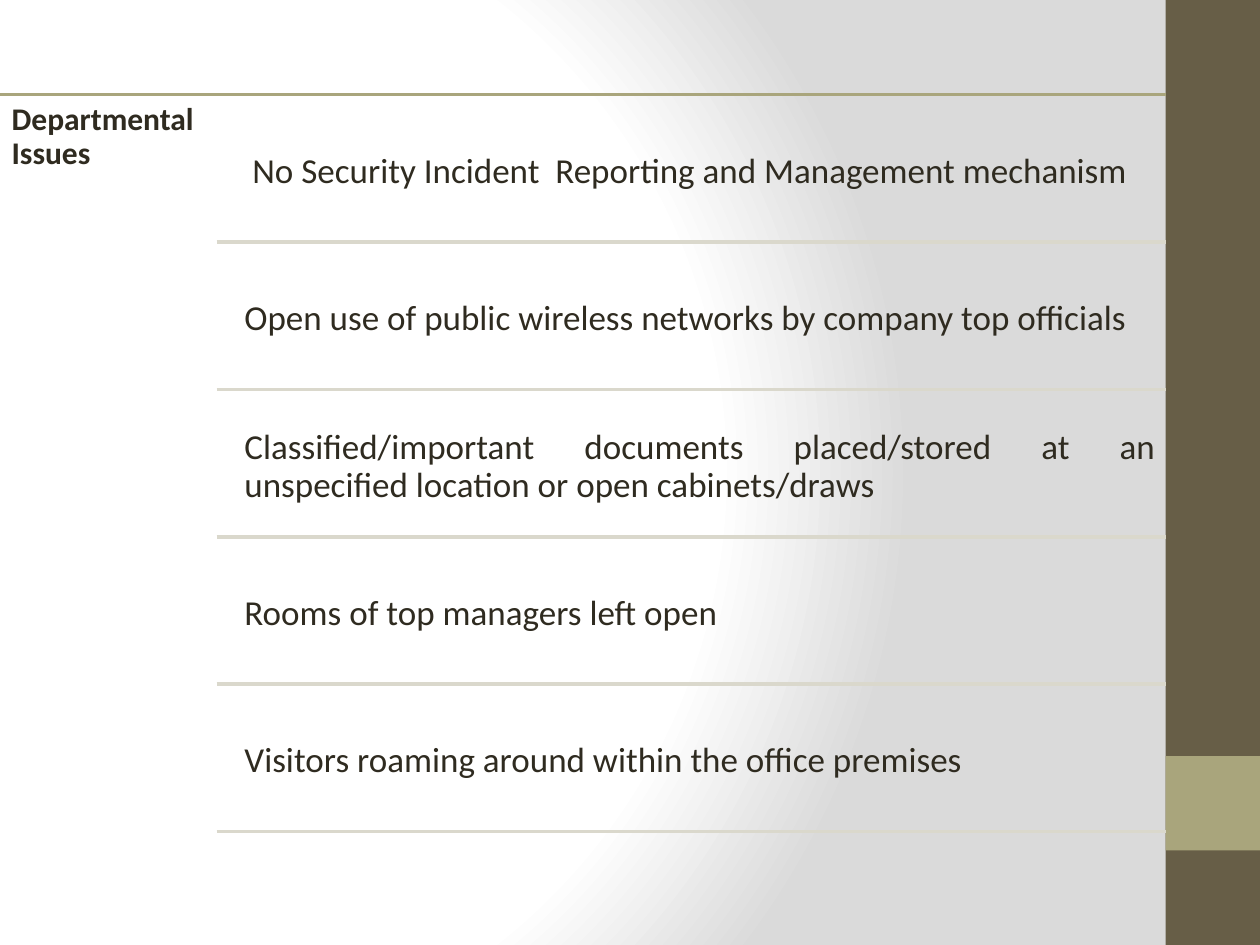
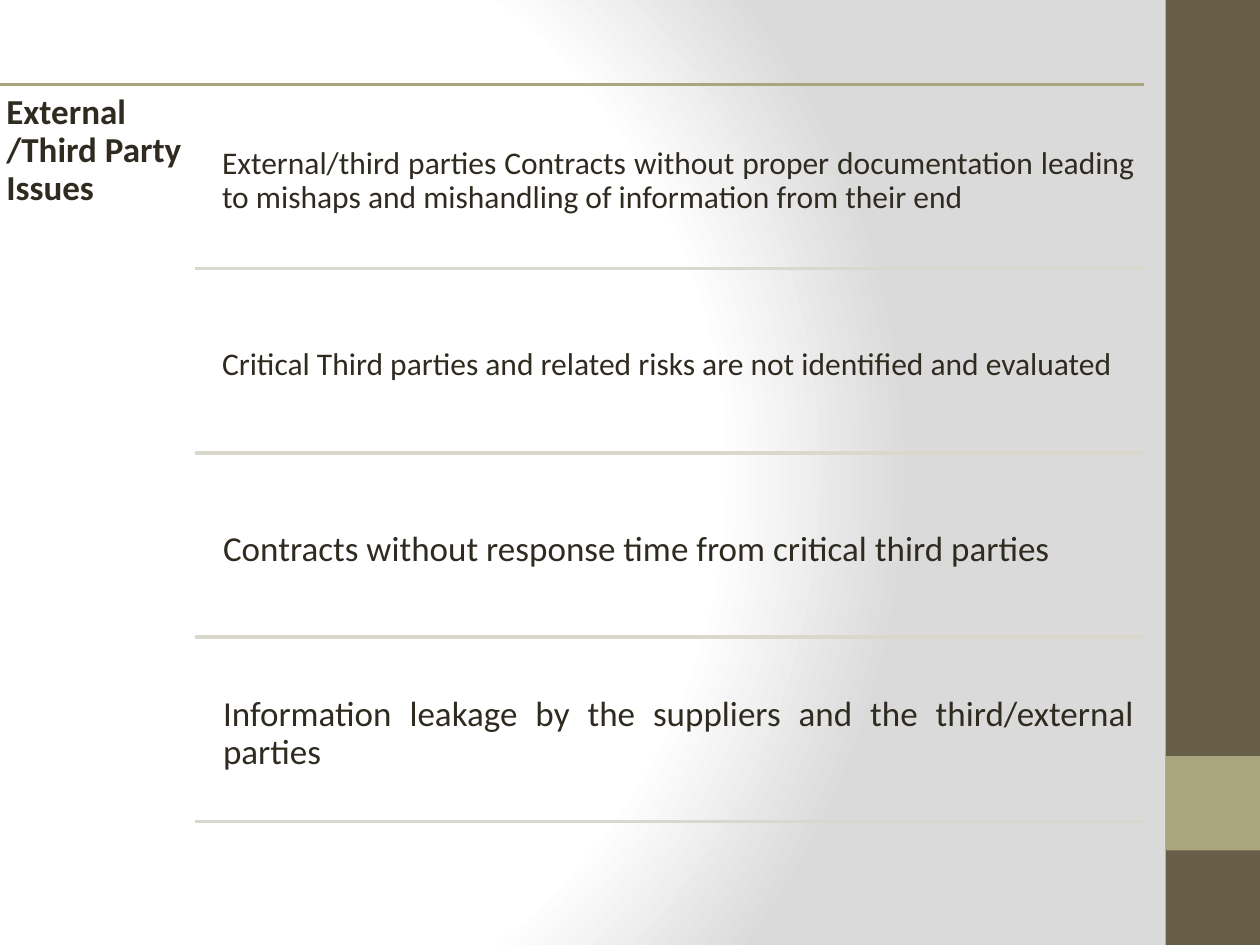
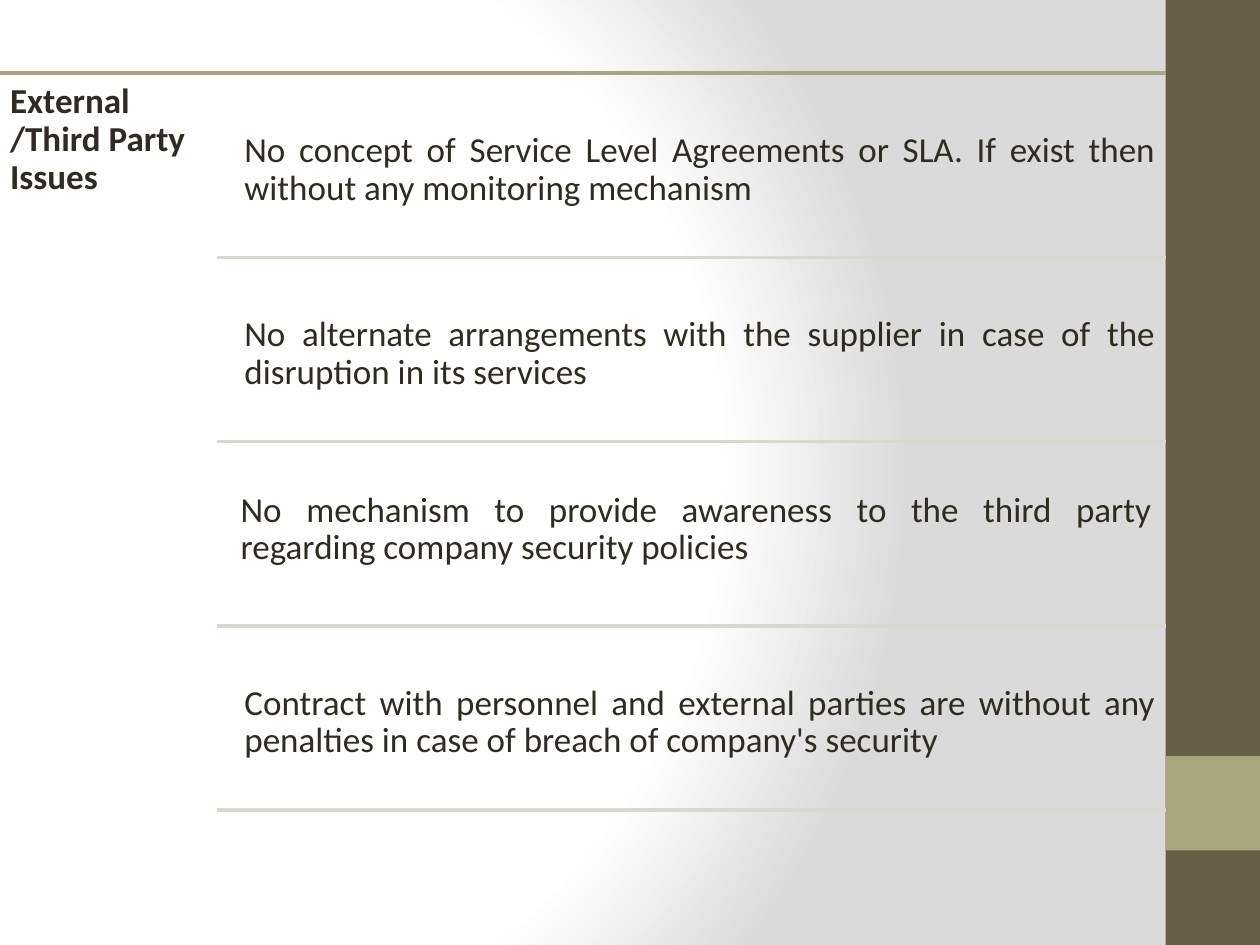
from dataclasses import dataclass

from pptx import Presentation
from pptx.dml.color import RGBColor
from pptx.enum.shapes import MSO_CONNECTOR as Link, MSO_SHAPE as Form
from pptx.enum.text import MSO_ANCHOR as Anchor, MSO_AUTO_SIZE as Fit, PP_ALIGN as Align
from pptx.oxml import parse_xml
from pptx.oxml.ns import nsdecls
from pptx.util import Inches, Pt

INK = RGBColor(0x2F, 0x2B, 0x20)
BROWN = RGBColor(0x67, 0x5E, 0x47)
OLIVE = RGBColor(0xA9, 0xA5, 0x7C)
PALE = RGBColor(0xDA, 0xD8, 0xCC)
WHITE = RGBColor(0xFF, 0xFF, 0xFF)
GREY = RGBColor(0xDA, 0xDA, 0xDA)
FONT = "Calibri"
STOPS = ((0, WHITE), (75, WHITE), (100, GREY))
LIST_HIGH = 5.85
HEAD_WIDE, HEAD_HIGH = 1.88, 5.92
ROW_WIDE, ROW_INSET = 7.39, 0.14
RULE_WIDE = 7.53


@dataclass
class Band:
    top: float
    high: float
    color: RGBColor


@dataclass
class Row:
    text: str
    size: int = 20
    shift_x: float = 0
    shift_y: float = 0


@dataclass
class Page:
    head: str
    size: int
    head_left: float
    top: float
    right: float
    rows: list[Row]


BANDS = [Band(0, 7.5, BROWN), Band(6, 0.75, OLIVE)]
PAGES = [
    Page("Departmental Issues", 18, 0.02, 0.75, 9.25, [
        Row(" No Security Incident  Reporting and Management mechanism"),
        Row("Open use of public wireless networks by company top officials"),
        Row("Classified/important documents placed/stored at an unspecified "
            "location or open cabinets/draws"),
        Row("Rooms of top managers left open"),
        Row("Visitors roaming around within the office premises"),
    ]),
    Page("External /Third Party Issues", 20, -0.03, 0.67, 9.08, [
        Row("External/third parties Contracts without proper documentation leading "
            "to mishaps and mishandling of information from their end", 18),
        Row("Critical Third parties and related risks are not identified and evaluated", 18),
        Row("Contracts without response time from critical third parties"),
        Row("Information leakage by the suppliers and the third/external parties"),
    ]),
    Page("External /Third Party Issues", 20, 0, 0.58, 9.25, [
        Row("No concept of Service Level Agreements or SLA. If exist then "
            "without any monitoring mechanism"),
        Row("No alternate arrangements with the supplier in case of the "
            "disruption in its services"),
        Row("No mechanism to provide awareness to the third party "
            "regarding company security policies", shift_x=-0.03, shift_y=-0.07),
        Row("Contract with personnel and external parties are without any "
            "penalties in case of breach of company's security"),
    ]),
]


def dress(layout, slide) -> None:
    stops = "".join(
        f'<a:gs pos="{pos * 1000}"><a:srgbClr val="{color}"/></a:gs>' for pos, color in STOPS
    )
    layout.element.cSld.insert(0, parse_xml(
        f'<p:bg {nsdecls("p", "a")}><p:bgPr><a:gradFill rotWithShape="1">'
        f'<a:gsLst>{stops}</a:gsLst><a:path path="circle">'
        '<a:fillToRect l="20000" t="50000" r="100000" b="50000"/></a:path>'
        '</a:gradFill><a:effectLst/></p:bgPr></p:bg>'
    ))
    for mark, band in enumerate(BANDS, 20):
        shape = slide.shapes.add_shape(
            Form.RECTANGLE, Inches(9.25), Inches(band.top), Inches(0.75), Inches(band.high)
        )
        shape.shadow.inherit = False
        shape.fill.solid()
        shape.fill.fore_color.rgb = band.color
        shape.line.fill.background()
        shape.element.nvSpPr.cNvPr.id = mark
        layout.element.cSld.spTree.append(shape.element)


def write(shape, text: str, size: int, align: Align, anchor: Anchor, bold: bool = False) -> None:
    frame = shape.text_frame
    frame.text = text
    frame.word_wrap = True
    frame.auto_size = Fit.NONE
    frame.vertical_anchor = anchor
    inset = Inches(size / 250)
    frame.margin_left = frame.margin_right = inset
    frame.margin_top = frame.margin_bottom = inset
    para = frame.paragraphs[0]
    para.alignment = align
    para.line_spacing = 0.9
    para.space_before = Pt(0)
    font = para.runs[0].font
    font.name = FONT
    font.size = Pt(size)
    font.bold = bold
    font.color.rgb = INK


def rule(slide, left: float, right: float, top: float, color: RGBColor) -> None:
    line = slide.shapes.add_connector(
        Link.STRAIGHT, Inches(left), Inches(top), Inches(right), Inches(top)
    )
    line.line.color.rgb = color
    line.line.width = Pt(2)
    line.element.spPr.append(parse_xml(f'<a:effectLst {nsdecls("a")}/>'))


def draw(slide, page: Page) -> None:
    rule(slide, 0, page.right, page.top, OLIVE)
    head = slide.shapes.title
    head.left, head.top = Inches(page.head_left), Inches(page.top)
    head.width, head.height = Inches(HEAD_WIDE), Inches(HEAD_HIGH)
    write(head, page.head, page.size, Align.LEFT, Anchor.TOP, True)

    step = LIST_HIGH / len(page.rows)
    left = page.right - RULE_WIDE
    for i, row in enumerate(page.rows):
        top = page.top + i * step
        box = slide.shapes.add_textbox(
            Inches(left + ROW_INSET + row.shift_x),
            Inches(top + 0.05 * step + row.shift_y),
            Inches(ROW_WIDE), Inches(0.95 * step),
        )
        write(box, row.text, row.size, Align.JUSTIFY, Anchor.MIDDLE)
        rule(slide, left, page.right, top + step, PALE)


def main() -> None:
    deck = Presentation()
    deck.slide_width, deck.slide_height = Inches(10), Inches(7.5)
    layout = deck.slide_layouts[5]
    slides = [deck.slides.add_slide(layout) for _ in PAGES]
    dress(layout, slides[0])
    for slide, page in zip(slides, PAGES):
        draw(slide, page)
    deck.save("out.pptx")


if __name__ == "__main__":
    main()
